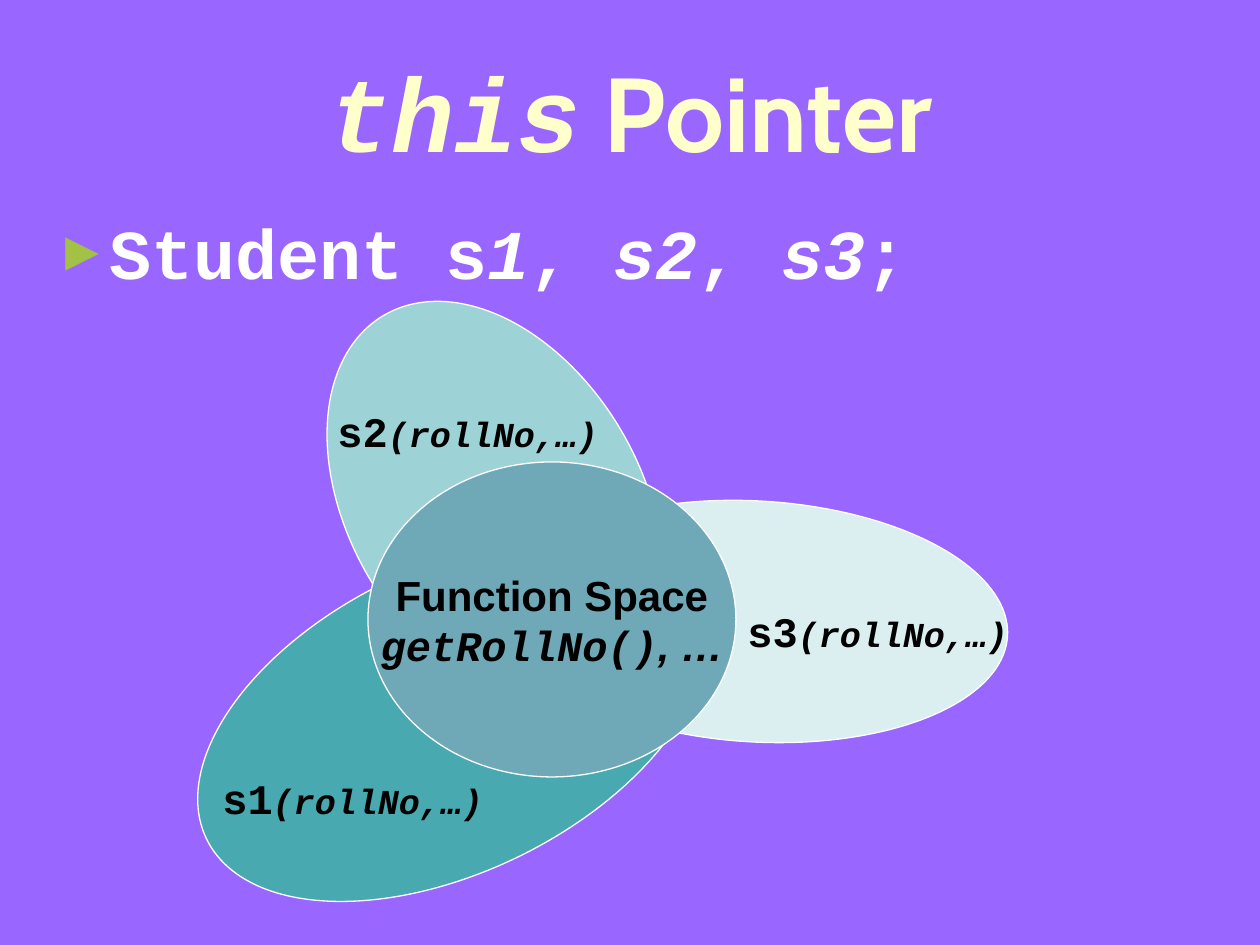
from lxml import etree
from pptx import Presentation
from pptx.dml.color import RGBColor
from pptx.enum.shapes import MSO_SHAPE
from pptx.enum.text import MSO_ANCHOR, MSO_AUTO_SIZE, PP_ALIGN
from pptx.oxml.ns import qn
from pptx.util import Pt

PX = 914400 / 126  # EMU per pixel
OVAL = MSO_SHAPE.OVAL
MIDDLE = MSO_ANCHOR.MIDDLE
CENTER = PP_ALIGN.CENTER
FIT_SHAPE = MSO_AUTO_SIZE.SHAPE_TO_FIT_TEXT

COLORS = {
    "background": "9966FF",
    "title": "FFFFCC",
    "white": "FFFFFF",
    "black": "000000",
    "bullet": "A3C145",
    "s1": "48A9B0",
    "s2": "9DD3D7",
    "s3": "DCEFF0",
    "functions": "6FA9B7",
}
CODE, TITLE_FONT, BODY_FONT = "Courier New", "Cabin", "Arial"


def emu(*lengths):
    return [round(length * PX) for length in lengths]


def rgb(name):
    return RGBColor.from_string(COLORS[name])


def add_spans(para, spans, color):
    """Add bold runs given as (text, size, font, italic)."""
    for text, size, font, italic in spans:
        span = para.add_run()
        span.text = text
        span.font.size = Pt(size)
        span.font.name = font
        span.font.bold = True
        span.font.italic = italic
        span.font.color.rgb = rgb(color)


def add_text_box(shapes, box):
    text_box = shapes.add_textbox(*emu(*box))
    text_box.text_frame.word_wrap = True
    return text_box.text_frame


def add_title(page, box):
    frame = add_text_box(page.shapes, box)
    frame.vertical_anchor = MIDDLE
    para = frame.paragraphs[0]
    para.alignment = CENTER
    add_spans(para, [("this", 60, CODE, True),
                     (" Pointer", 60, TITLE_FONT, False)], "title")


def add_bullet(para, indent):
    properties = para._p.get_or_add_pPr()
    margin = emu(indent)[0]
    properties.set("marL", str(margin))
    properties.set("indent", str(-margin))
    color = etree.SubElement(properties, qn("a:buClr"))
    etree.SubElement(color, qn("a:srgbClr"), val=COLORS["bullet"])
    etree.SubElement(properties, qn("a:buSzPct"), val="80000")
    etree.SubElement(properties, qn("a:buFont"), typeface=BODY_FONT)
    etree.SubElement(properties, qn("a:buChar"), char="►")


def add_declaration(page, box):
    para = add_text_box(page.shapes, box).paragraphs[0]
    para.line_spacing = 0.8
    para.space_before = Pt(25)
    add_bullet(para, 48)
    parts = ["Student s", "1", ", ", "s2", ", ", "s3", ";"]
    # Every second part is a variable, set in italics
    add_spans(para, [(part, 40, CODE, index % 2 == 1)
                     for index, part in enumerate(parts)], "white")


def add_ellipse(shapes, box, fill, rotation=0):
    ellipse = shapes.add_shape(OVAL, *emu(*box))
    ellipse.shadow.inherit = False
    ellipse.rotation = rotation
    ellipse.fill.solid()
    ellipse.fill.fore_color.rgb = rgb(fill)
    ellipse.line.color.rgb = rgb("white")
    ellipse.line.width = Pt(0.75)
    return ellipse


def add_object_label(shapes, box, name):
    frame = add_text_box(shapes, box)
    frame.auto_size = FIT_SHAPE
    para = frame.paragraphs[0]
    para.space_before = Pt(12.5)
    add_spans(para, [(name, 24, CODE, False),
                     ("(rollNo,…)", 20, CODE, True)], "black")


def add_diagram(page, left, top):
    shapes = page.shapes.add_group_shape().shapes

    # Object ellipses, back to front
    for name, x, y, width, height, rotation in [
        ("s3", 325, 203, 504, 241, 3.3),
        ("s1", 0, 269, 546, 305, 334),
        ("s2", 97, 60, 438, 292, 59.4),
    ]:
        add_ellipse(shapes, (left + x, top + y, width, height), name, rotation)

    # Shared function space
    center = add_ellipse(shapes, (left + 189, top + 164, 368, 315), "functions")
    frame = center.text_frame
    frame.word_wrap = False
    frame.vertical_anchor = MIDDLE
    heading, functions = frame.paragraphs[0], frame.add_paragraph()
    heading.alignment = functions.alignment = CENTER
    add_spans(heading, [("Function Space", 24, BODY_FONT, False)], "black")
    add_spans(functions, [("getRollNo()", 24, CODE, True),
                          (", …", 24, BODY_FONT, True)], "black")

    # Object labels
    for name, x, y, width in [
        ("s1", 31, 468, 325),
        ("s2", 146, 101, 388),
        ("s3", 556, 301, 388),
    ]:
        add_object_label(shapes, (left + x, top + y, width, 63), name)


def main():
    deck = Presentation()
    deck.slide_width, deck.slide_height = emu(1260, 945)
    page = deck.slides.add_slide(deck.slide_layouts[6])
    page.background.fill.solid()
    page.background.fill.fore_color.rgb = rgb("background")

    add_title(page, (42, 32, 1177, 157))
    add_declaration(page, (42, 220, 1177, 620))
    add_diagram(page, 179, 298)
    deck.save("out.pptx")


if __name__ == "__main__":
    main()
